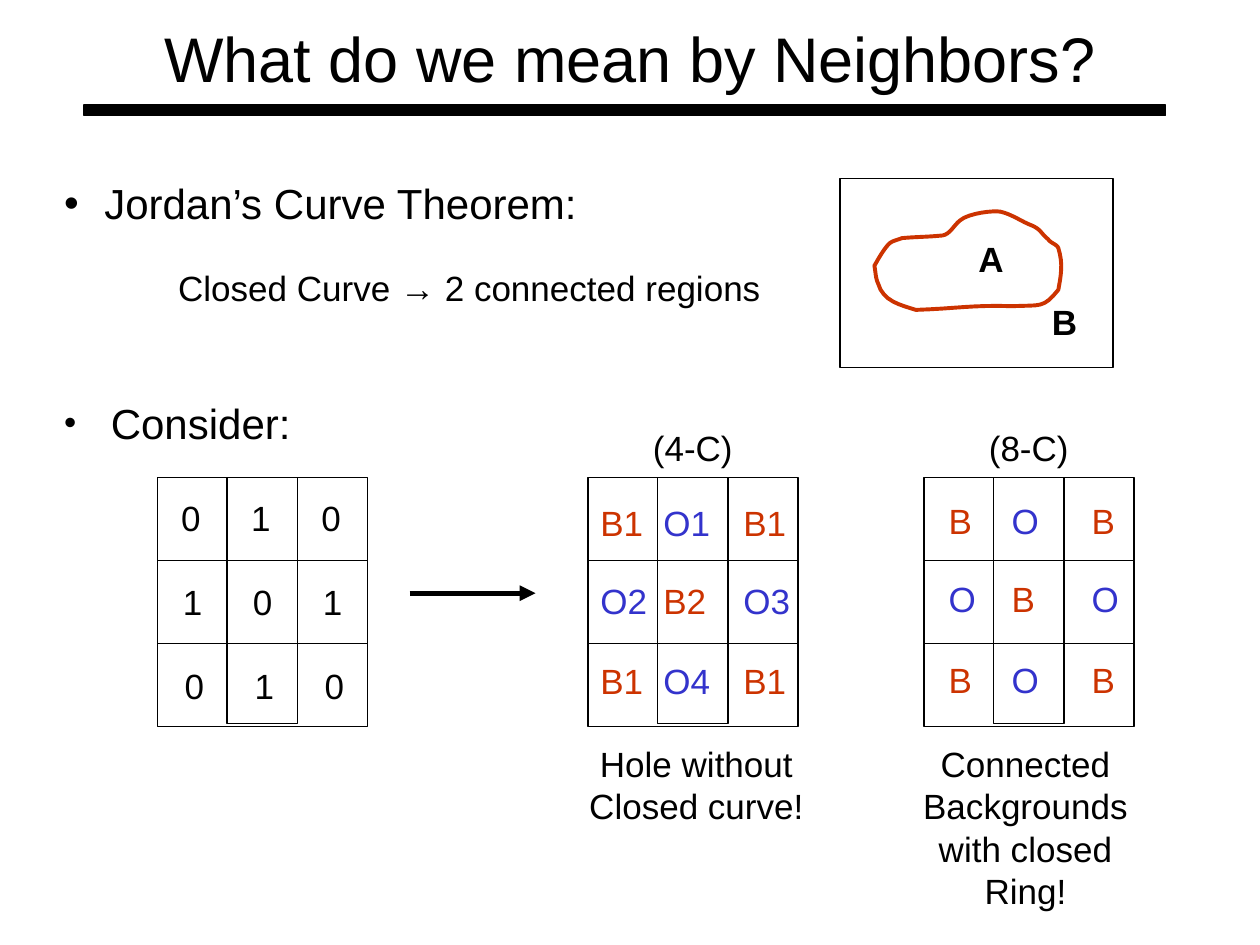
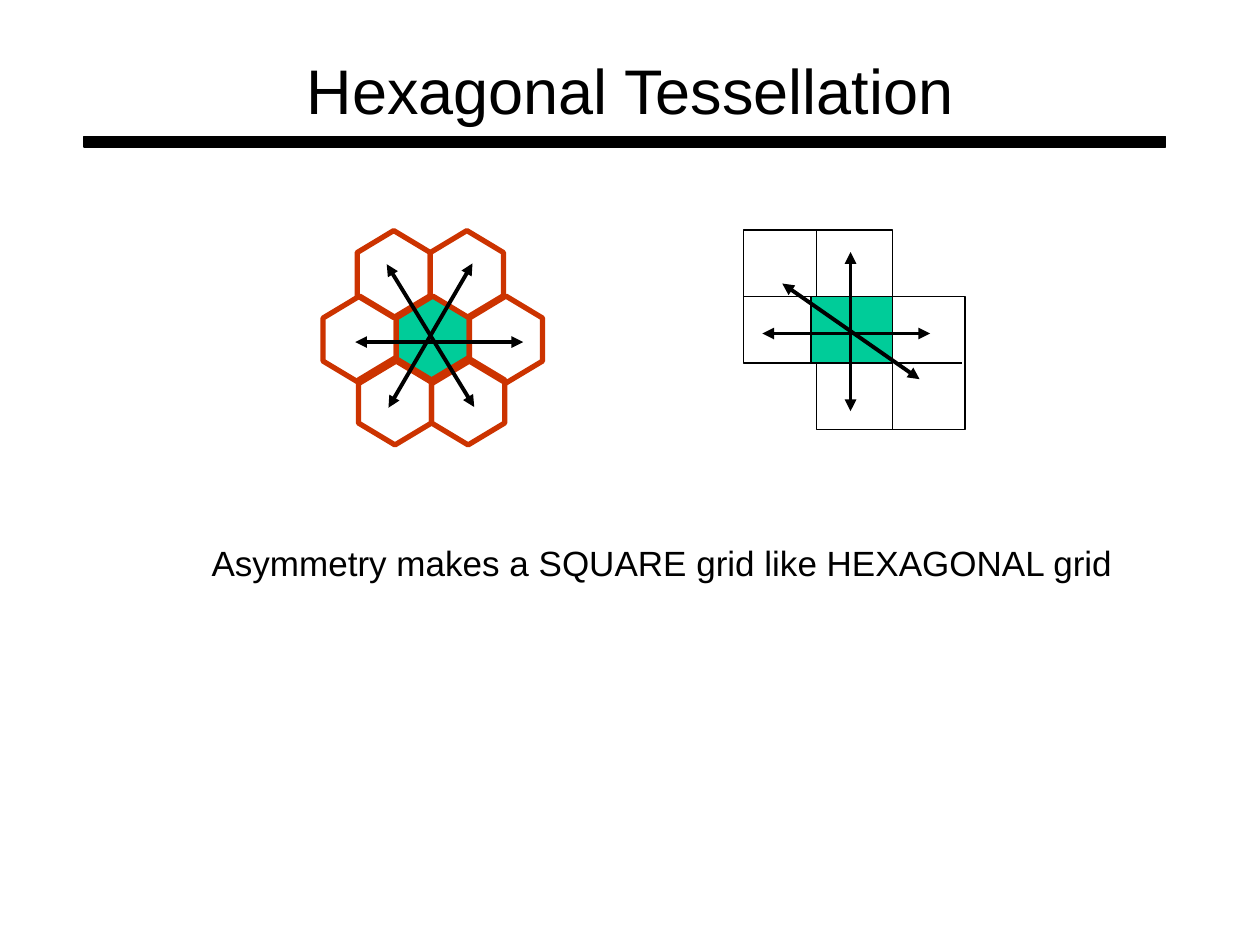
from lxml import etree
from pptx import Presentation
from pptx.dml.color import RGBColor
from pptx.enum import shapes, text
from pptx.oxml import ns
from pptx.util import Pt

BLACK = RGBColor(0, 0, 0)
RED = RGBColor(0xCC, 0x33, 0x00)
BLUE = RGBColor(0x33, 0x33, 0xCC)
GREEN = RGBColor(0x00, 0xCC, 0x99)
FONT = "Arial"
CENTER = text.PP_ALIGN.CENTER

CURVE_START = (589.7, 128.9)
CURVE_SEGMENTS = [
    ((583.9, 126.7), (578.2, 122.4), (571.7, 121)),
    ((568.1, 120.2), (553.7, 121.7), (548.6, 126)),
    ((545, 128.9), (542.9, 133.9), (538.6, 134.6)),
    ((530.6, 135.4), (522.7, 135.4), (515.5, 136.1)),
    ((509.8, 138.2), (509, 137.5), (505.4, 142.6)),
    ((503.3, 145.4), (499.7, 151.9), (499.7, 151.9)),
    ((500.4, 155.5), (500.4, 159.1), (501.8, 162)),
    ((504.7, 172.1), (514.1, 174.2), (523.4, 177.1)),
    ((545.8, 176.4), (555.8, 174.2), (578.2, 175)),
    ((594.7, 174.2), (596.2, 176.4), (604.8, 165.6)),
    ((606.2, 157.7), (607.7, 151.2), (604.8, 141.8)),
    ((604.1, 139.7), (600.5, 139), (599, 136.8)),
    ((594.7, 133.2), (594.7, 131), CURVE_START),
]


def set_font(paragraph, size, color=BLACK, bold=False):
    font = paragraph.font
    font.name = FONT
    font.size = Pt(size)
    font.bold = bold
    font.color.rgb = color


def style_shape(shape, fill=None, line=BLACK, weight=0.75):
    shape.shadow.inherit = False
    if fill is None:
        shape.fill.background()
    else:
        shape.fill.solid()
        shape.fill.fore_color.rgb = fill
    shape.line.color.rgb = line
    shape.line.width = Pt(weight)


def add_box(slide, left, top, width, height, fill=None):
    shape = slide.shapes.add_shape(
        shapes.MSO_SHAPE.RECTANGLE, Pt(left), Pt(top), Pt(width), Pt(height))
    style_shape(shape, fill)


def add_line(slide, start, end, weight=0.75, arrows=()):
    connector = slide.shapes.add_connector(
        shapes.MSO_CONNECTOR.STRAIGHT, *map(Pt, start + end))
    connector.line.color.rgb = BLACK
    connector.line.width = Pt(weight)
    line = connector.line._get_or_add_ln()
    for end_name in arrows:
        etree.SubElement(line, ns.qn("a:" + end_name), type="triangle")
    etree.SubElement(connector._element.spPr, ns.qn("a:effectLst"))


def add_double_arrow(slide, start, end):
    add_line(slide, start, end, 2.25, ("headEnd", "tailEnd"))


def add_text(slide, lines, left, top, width, color=BLACK, bold=False, align=None):
    box = slide.shapes.add_textbox(
        Pt(left), Pt(top), Pt(width), Pt(7.2 + 24 * len(lines)))
    frame = box.text_frame
    frame.word_wrap = True
    frame.text = "\n".join(lines)
    for paragraph in frame.paragraphs:
        paragraph.alignment = align
        set_font(paragraph, 20, color, bold)
    return frame


def indent(paragraph, left, bullet_percent=None):
    properties = paragraph._p.get_or_add_pPr()
    properties.set("marL", str(Pt(left)))
    if bullet_percent:
        properties.set("indent", str(-Pt(left)))
        etree.SubElement(properties, ns.qn("a:buSzPct"), val=str(bullet_percent * 1000))
        etree.SubElement(properties, ns.qn("a:buFont"), typeface=FONT)
        etree.SubElement(properties, ns.qn("a:buChar"), char="•")


def add_titled_slide(presentation, title_text, top):
    slide = presentation.slides.add_slide(presentation.slide_layouts[5])
    title = slide.shapes.title
    title.left, title.top, title.width, title.height = map(Pt, (54, top, 612, 90))
    title.text_frame.text = title_text
    title.text_frame.vertical_anchor = text.MSO_ANCHOR.MIDDLE
    paragraph = title.text_frame.paragraphs[0]
    paragraph.alignment = CENTER
    set_font(paragraph, 36)
    add_box(slide, 48, top + 72, 618, 6, BLACK)
    return slide


def add_pixel_grid(slide, left):
    add_box(slide, left + 39.7, 273, 40.3, 140.4)
    for row in range(3):
        add_box(slide, left, 273 + 47.4 * row, 120, 47.4)


def add_region_labels(slide, left, top, rows):
    for row_top, labels in zip((0, 44.5, 90.5), rows):
        for column_left, label in zip((0, 36, 81.7), labels):
            color = RED if label.startswith("B") else BLUE
            add_text(slide, [label], left + column_left, top + row_top, 50, color)


def add_bullets(slide):
    frame = add_text(
        slide,
        ["Jordan’s Curve Theorem:", "Closed Curve → 2 connected regions", "Consider:"],
        29.5, 98, 430)
    theorem, statement, consider = frame.paragraphs
    statement.space_before = Pt(22)
    consider.space_before = Pt(51)
    set_font(theorem, 24)
    set_font(consider, 24)
    indent(theorem, 23, 100)
    indent(statement, 65.2)
    indent(consider, 26.7, 83)


def add_closed_curve(slide):
    points = []
    start = CURVE_START
    for first, second, end in CURVE_SEGMENTS:
        for step in range(1, 9):
            t = step / 8
            weights = ((1 - t) ** 3, 3 * t * (1 - t) ** 2, 3 * t * t * (1 - t), t ** 3)
            points.append(tuple(
                Pt(sum(weight * value for weight, value in zip(weights, values)))
                for values in zip(start, first, second, end)))
        start = end
    builder = slide.shapes.build_freeform(*map(Pt, CURVE_START))
    builder.add_line_segments(points, close=True)
    style_shape(builder.convert_to_shape(), line=RED, weight=2.25)


def build_neighbors(presentation):
    slide = add_titled_slide(presentation, "What do we mean by Neighbors?", -12)
    add_bullets(slide)

    add_box(slide, 480, 102, 156, 108)
    add_closed_curve(slide)
    add_text(slide, ["A"], 552, 132, 40, bold=True)
    add_text(slide, ["B"], 594, 168, 40, bold=True)

    for left in (90, 336, 528):
        add_pixel_grid(slide, left)
    for row, digits in enumerate(("010", "101", "010")):
        for column, digit in enumerate(digits):
            add_text(slide, [digit], 96.5 + 40 * column + row, 280 + 48 * row, 30)
    add_line(slide, (234, 339), (306, 339), 3, ("tailEnd",))

    add_text(slide, ["(4-C)"], 366, 240, 80)
    add_region_labels(slide, 336, 283, (
        ("B1", "O1", "B1"), ("O2", "B2", "O3"), ("B1", "O4", "B1")))
    add_text(slide, ["Hole without", "Closed curve!"], 318, 421, 160, align=CENTER)

    add_text(slide, ["(8-C)"], 558, 240, 80)
    add_region_labels(slide, 535, 282, ("BOB", "OBO", "BOB"))
    add_text(slide, ["Connected", "Backgrounds", "with closed", "Ring!"],
             506, 421, 160, align=CENTER)


def add_hexagon(slide, center_x, center_y, fill):
    width, height = 49.7, 41.8
    shape = slide.shapes.add_shape(
        shapes.MSO_SHAPE.HEXAGON, Pt(center_x - width / 2),
        Pt(center_y - height / 2), Pt(width), Pt(height))
    shape.rotation = 270
    shape.adjustments[0] = 0.3
    style_shape(shape, fill, RED, 3)


def add_hexagonal_grid(slide):
    for left, center_y, count in ((225, 156.6, 2), (205.5, 194, 3), (225.7, 229.4, 2)):
        for column in range(count):
            fill = GREEN if count == 3 and column == 1 else None
            add_hexagon(slide, left + 41.8 * column, center_y, fill)
    add_double_arrow(slide, (203, 195.5), (299, 195.5))
    add_double_arrow(slide, (221, 151), (271, 232.6))
    add_double_arrow(slide, (270, 150.5), (222, 233))


def add_square_grid(slide):
    add_box(slide, 425, 131.5, 85, 76)
    add_box(slide, 466.5, 169.5, 85, 76)
    add_line(slide, (466.5, 169.5), (466.5, 131.5))
    add_line(slide, (510, 245.5), (510, 207.5))
    add_line(slide, (511, 207.5), (549.5, 207.5))
    add_line(slide, (425, 169.5), (463.5, 169.5))
    add_box(slide, 463.5, 169.5, 46.5, 38, GREEN)
    add_double_arrow(slide, (486, 144), (486, 235))
    add_double_arrow(slide, (435.6, 190.6), (531.5, 190.6))
    add_double_arrow(slide, (447, 162), (525.5, 216.7))


def build_tessellation(presentation):
    slide = add_titled_slide(presentation, "Hexagonal Tessellation", 6)
    add_text(slide, ["Asymmetry makes a SQUARE grid like HEXAGONAL grid"], 113.8, 306, 550)
    add_square_grid(slide)
    add_hexagonal_grid(slide)


def main():
    presentation = Presentation()
    presentation.slide_width = Pt(720)
    presentation.slide_height = Pt(540)
    build_neighbors(presentation)
    build_tessellation(presentation)
    presentation.save("out.pptx")


if __name__ == "__main__":
    main()
